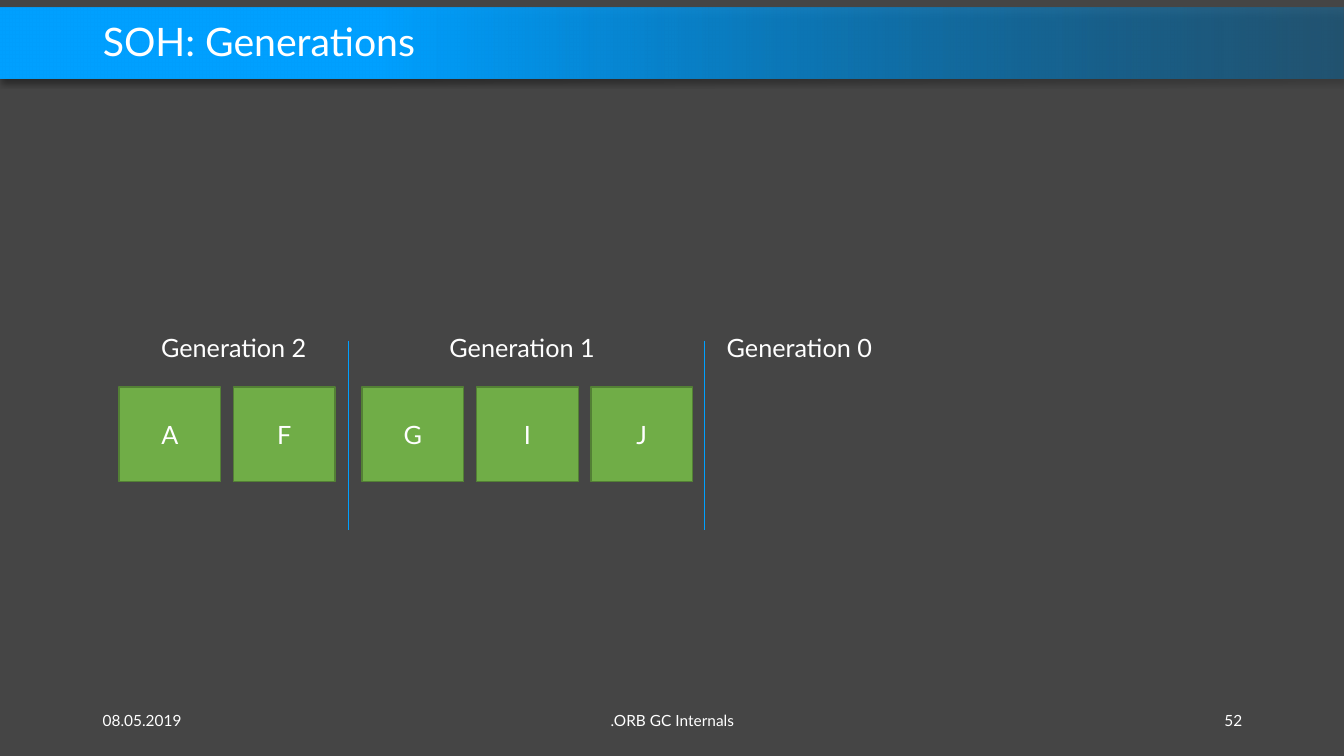
from lxml import etree
from pptx import Presentation
from pptx.dml.color import RGBColor
from pptx.enum.shapes import MSO_CONNECTOR, MSO_SHAPE
from pptx.enum.text import MSO_ANCHOR, MSO_AUTO_SIZE, PP_ALIGN
from pptx.oxml import parse_xml
from pptx.oxml.ns import nsdecls, qn
from pptx.util import Inches, Pt

COLORS = {
    "background": "454545",
    "text": "FFFFFF",
    "accent": "00A0FF",
    "accent_dark": "0078BF",
    "object": "70AD47",
    "object_edge": "538035",
}


def color(name):
    return RGBColor.from_string(COLORS[name])


def write(shape, text, size, align=PP_ALIGN.LEFT, anchor=MSO_ANCHOR.MIDDLE, wrap=True):
    """Fill a shape with one line of text in the slide's font."""
    frame = shape.text_frame
    frame.text = text
    frame.word_wrap = wrap
    frame.vertical_anchor = anchor
    paragraph = frame.paragraphs[0]
    paragraph.alignment = align
    font = paragraph.runs[0].font
    font.name = "Lato"
    font.size = Pt(size)
    font.color.rgb = color("text")


presentation = Presentation()
presentation.slide_width = Inches(13.33)
presentation.slide_height = Inches(7.5)
slide = presentation.slides.add_slide(presentation.slide_layouts[5])
slide.background.fill.solid()
slide.background.fill.fore_color.rgb = color("background")

# Title on its gradient band
title = slide.shapes.title
title.left, title.top = Inches(0.92), Inches(0.16)
title.width, title.height = Inches(11.5), Inches(0.55)
write(title, "SOH: Generations", 28)
title.text_frame.paragraphs[0].line_spacing = 0.9

band = slide.shapes.add_shape(
    MSO_SHAPE.RECTANGLE, Inches(0), Inches(0.08), Inches(13.33), Inches(0.7))
title.element.addprevious(band.element)
band.line.fill.background()
band.fill.gradient()
band.fill.gradient_angle = 180
fade, solid = band.fill.gradient_stops
fade.color.rgb, fade.position = color("accent_dark"), 0
solid.color.rgb, solid.position = color("accent"), 0.72
fade_color = next(band.element.iter(qn("a:srgbClr")))
etree.SubElement(fade_color, qn("a:alpha"), val="40000")
band.shadow.inherit = False
band.element.spPr.find(qn("a:effectLst")).append(parse_xml(
    f'<a:outerShdw {nsdecls("a")} blurRad="{Pt(4)}" dist="{Pt(3)}" dir="5400000"'
    ' algn="t" rotWithShape="0"><a:srgbClr val="000000"><a:alpha val="40000"/>'
    '</a:srgbClr></a:outerShdw>'))

# Footer
for text, left, width, align in (
    ("08.05.2019", 0.92, 3, PP_ALIGN.LEFT),
    (".ORB GC Internals", 4.42, 4.5, PP_ALIGN.CENTER),
    ("52", 9.42, 3, PP_ALIGN.RIGHT),
):
    footer = slide.shapes.add_textbox(Inches(left), Inches(6.95), Inches(width), Inches(0.4))
    write(footer, text, 11, align)

# Generations: label, label left, objects, first object left
OBJECT_PITCH = 1.135
for label, label_left, objects, first_left in (
    ("Generation 2", 1.5, "AF", 1.18),
    ("Generation 1", 4.36, "GIJ", 3.59),
    ("Generation 0", 7.11, "", 0),
):
    heading = slide.shapes.add_textbox(
        Inches(label_left), Inches(3.25), Inches(1.64), Inches(0.4))
    write(heading, label, 18, anchor=MSO_ANCHOR.TOP, wrap=False)
    heading.text_frame.auto_size = MSO_AUTO_SIZE.SHAPE_TO_FIT_TEXT
    for index, letter in enumerate(objects):
        heap_object = slide.shapes.add_shape(
            MSO_SHAPE.RECTANGLE, Inches(first_left + index * OBJECT_PITCH),
            Inches(3.84), Inches(1.01), Inches(0.94))
        heap_object.shadow.inherit = False
        heap_object.fill.solid()
        heap_object.fill.fore_color.rgb = color("object")
        heap_object.line.color.rgb = color("object_edge")
        heap_object.line.width = Pt(1)
        write(heap_object, letter, 18, PP_ALIGN.CENTER)

# Boundaries between generations
for x in (3.46, 6.99):
    boundary = slide.shapes.add_connector(
        MSO_CONNECTOR.STRAIGHT, Inches(x), Inches(3.38), Inches(x), Inches(5.26))
    boundary.line.color.rgb = color("accent")
    boundary.line.width = Pt(0.5)
    etree.SubElement(boundary.element.spPr, qn("a:effectLst"))

presentation.save("out.pptx")
